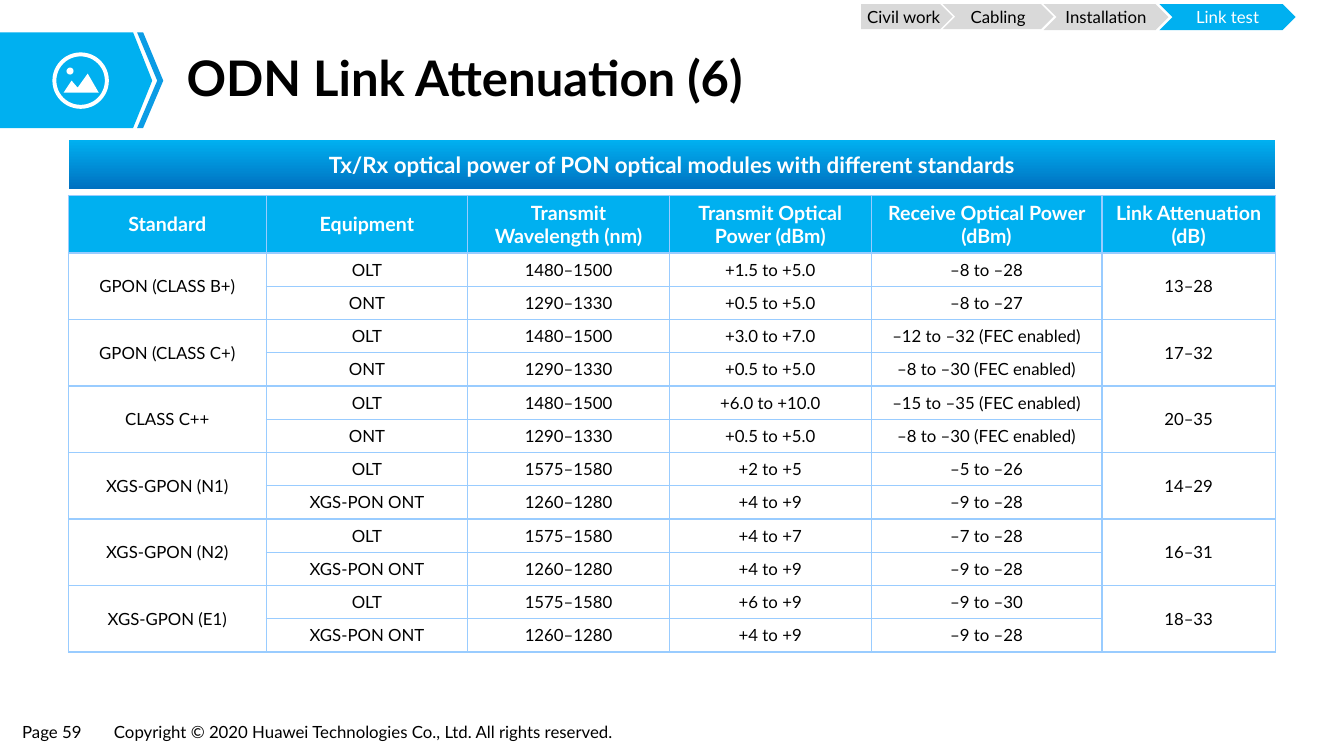
from lxml import etree
from pptx import Presentation
from pptx.dml.color import RGBColor
from pptx.enum.shapes import MSO_SHAPE
from pptx.enum.text import MSO_ANCHOR, PP_ALIGN
from pptx.oxml.ns import qn

PX = 9144
CHEVRON, PENTAGON = MSO_SHAPE.CHEVRON, MSO_SHAPE.PENTAGON
RECTANGLE, OVAL, DONUT = MSO_SHAPE.RECTANGLE, MSO_SHAPE.OVAL, MSO_SHAPE.DONUT
MIDDLE = MSO_ANCHOR.MIDDLE
LEFT, CENTER = PP_ALIGN.LEFT, PP_ALIGN.CENTER

BLACK = RGBColor(0x00, 0x00, 0x00)
WHITE = RGBColor(0xFF, 0xFF, 0xFF)
SKY = RGBColor(0x00, 0xB0, 0xF0)
STRIPE_BLUE = RGBColor(0x0B, 0x9C, 0xE5)
DEEP_BLUE = RGBColor(0x00, 0x70, 0xC0)
GREY = RGBColor(0xD9, 0xD9, 0xD9)
BORDER = RGBColor(0x99, 0xCC, 0xFF)

SMALL = {"name": "Lato", "size": 12 * 12700, "bold": False}
HEADING = {"name": "Lato", "size": 14 * 12700, "bold": True}
BANNER = {"name": "Lato", "size": 16 * 12700, "bold": True}
TITLE = {"name": "Lato", "size": 35 * 12700, "bold": True}

STAGES = [
    ("Cabling", CHEVRON, (935, 4, 110, 25), GREY, BLACK),
    ("Installation", CHEVRON, (1035, 4, 124, 26), GREY, BLACK),
    ("Link test", CHEVRON, (1150, 4, 135, 26), SKY, WHITE),
    ("Civil work", PENTAGON, (854, 4, 91, 25), GREY, BLACK),
]
HEADERS = ["Standard", "Equipment", "Transmit Wavelength (nm)",
           "Transmit Optical Power (dBm)", "Receive Optical Power (dBm)",
           "Link Attenuation (dB)"]
COLUMN_WIDTHS = [196, 200, 200, 200, 229, 172]
HEADER_HEIGHT, ROW_HEIGHT = 57, 33
STANDARDS = [
    ("GPON (CLASS B+)", "13–28",
     [("OLT", "1480–1500", "+1.5 to +5.0", "–8 to –28"),
      ("ONT", "1290–1330", "+0.5 to +5.0", "–8 to –27")]),
    ("GPON (CLASS C+)", "17–32",
     [("OLT", "1480–1500", "+3.0 to +7.0", "–12 to –32 (FEC enabled)"),
      ("ONT", "1290–1330", "+0.5 to +5.0", "–8 to –30 (FEC enabled)")]),
    ("CLASS C++", "20–35",
     [("OLT", "1480–1500", "+6.0 to +10.0", "–15 to –35 (FEC enabled)"),
      ("ONT", "1290–1330", "+0.5 to +5.0", "–8 to –30 (FEC enabled)")]),
    ("XGS-GPON (N1)", "14–29",
     [("OLT", "1575–1580", "+2 to +5", "–5 to –26"),
      ("XGS-PON ONT", "1260–1280", "+4 to +9", "–9 to –28")]),
    ("XGS-GPON (N2)", "16–31",
     [("OLT", "1575–1580", "+4 to +7", "–7 to –28"),
      ("XGS-PON ONT", "1260–1280", "+4 to +9", "–9 to –28")]),
    ("XGS-GPON (E1)", "18–33",
     [("OLT", "1575–1580", "+6 to +9", "–9 to –30"),
      ("XGS-PON ONT", "1260–1280", "+4 to +9", "–9 to –28")]),
]


def emu(lengths):
    """Turn px lengths into EMU."""
    return [length * PX for length in lengths]


def write(frame, text, font_format, color, align=CENTER):
    """Write one formatted paragraph into a text frame."""
    paragraph = frame.paragraphs[0]
    paragraph.alignment = align
    run = paragraph.add_run()
    run.text = text
    for attribute, value in font_format.items():
        setattr(run.font, attribute, value)
    run.font.color.rgb = color
    return paragraph


def set_margins(frame, horizontal, vertical):
    """Set the insets of a text frame or cell."""
    margins = {"margin_left": horizontal, "margin_right": horizontal,
               "margin_top": vertical, "margin_bottom": vertical}
    for attribute, value in margins.items():
        setattr(frame, attribute, value * PX)


def add_label(slide, box, text, font_format, margins, wrap=False):
    """Add a left-aligned text box."""
    frame = slide.shapes.add_textbox(*emu(box)).text_frame
    frame.word_wrap = wrap
    frame.vertical_anchor = MIDDLE
    set_margins(frame, *margins)
    return write(frame, text, font_format, BLACK, LEFT)


def paint(shape, color):
    """Give a shape a flat fill without outline or shadow."""
    shape.shadow.inherit = False
    shape.fill.solid()
    shape.fill.fore_color.rgb = color
    shape.line.fill.background()
    return shape


def add_block(slide, preset, box, color):
    """Add a flat preset shape."""
    return paint(slide.shapes.add_shape(preset, *emu(box)), color)


def add_outline(slide, points, color):
    """Add a flat closed polygon."""
    builder = slide.shapes.build_freeform(*points[0], scale=PX)
    builder.add_line_segments(points[1:], close=True)
    return paint(builder.convert_to_shape(), color)


def add_title_badge(slide):
    """Draw the arrow badge with its landscape icon."""
    add_outline(slide, [(0, 32), (132, 32), (151, 80), (132, 127), (0, 127)], SKY)
    add_outline(slide, [(142, 32), (136, 32), (156, 80), (136, 127),
                        (142, 127), (162, 80)], STRIPE_BLUE)
    ring = add_block(slide, DONUT, (52, 52, 56, 56), WHITE)
    ring.adjustments[0] = 0.07
    add_outline(slide, [(63, 92), (71, 80), (77, 87), (87, 73), (98, 92)], WHITE)
    add_block(slide, OVAL, (66, 67, 7, 7), WHITE)


def add_stage(slide, text, preset, box, fill, color):
    """Add one step of the progress trail."""
    frame = add_block(slide, preset, box, fill).text_frame
    frame.vertical_anchor = MIDDLE
    set_margins(frame, 0, 0)
    write(frame, text, SMALL, color)


def add_banner(slide, text):
    """Add the gradient heading above the table."""
    banner = add_block(slide, RECTANGLE, (68, 139, 1197, 49), SKY)
    banner.fill.gradient()
    banner.fill.gradient_angle = 270
    for stop, color in zip(banner.fill.gradient_stops, (SKY, DEEP_BLUE)):
        stop.color.rgb = color
    banner.text_frame.vertical_anchor = MIDDLE
    write(banner.text_frame, text, BANNER, WHITE)


def add_borders(cell):
    """Draw a thin border on all four sides of a cell."""
    properties = cell._tc.get_or_add_tcPr()
    for side in ("a:lnL", "a:lnR", "a:lnT", "a:lnB"):
        line = etree.SubElement(properties, qn(side), w="12700")
        fill = etree.SubElement(line, qn("a:solidFill"))
        etree.SubElement(fill, qn("a:srgbClr"), val=str(BORDER))


def add_power_table(slide):
    """Add the table of optical power by standard."""
    rows = [HEADERS]
    for standard, attenuation, modules in STANDARDS:
        rows += [(standard, *module, attenuation) for module in modules]
    heights = [HEADER_HEIGHT] + [ROW_HEIGHT] * (len(rows) - 1)
    box = (68, 194, sum(COLUMN_WIDTHS), sum(heights))
    table = slide.shapes.add_table(len(rows), len(HEADERS), *emu(box)).table
    table.horz_banding = False
    for column, width in zip(table.columns, emu(COLUMN_WIDTHS)):
        column.width = width
    for row, height in zip(table.rows, emu(heights)):
        row.height = height
    for top in range(1, len(rows), 2):
        for column in (0, len(HEADERS) - 1):
            table.cell(top, column).merge(table.cell(top + 1, column))
    for r, values in enumerate(rows):
        for c, value in enumerate(values):
            cell = table.cell(r, c)
            add_borders(cell)
            set_margins(cell, 10, 5)
            cell.vertical_anchor = MIDDLE
            if r == 0:
                cell.fill.solid()
                cell.fill.fore_color.rgb = SKY
                write(cell.text_frame, value, HEADING, WHITE)
            else:
                cell.fill.background()
                if not cell.is_spanned:
                    write(cell.text_frame, value, SMALL, BLACK)


def main():
    """Build and save the slide."""
    deck = Presentation()
    deck.slide_width, deck.slide_height = emu((1333, 750))
    slide = deck.slides.add_slide(deck.slide_layouts[6])
    add_label(slide, (13, 711, 81, 29), "Page 59", SMALL, (9, 4))
    add_label(slide, (104, 711, 541, 29),
              "Copyright © 2020 Huawei Technologies Co., Ltd. All rights reserved.",
              SMALL, (9, 4))
    add_title_badge(slide)
    title = add_label(slide, (174, 45, 1075, 70), "ODN Link Attenuation (6)",
                      TITLE, (11, 6), wrap=True)
    title.line_spacing = 0.9
    add_power_table(slide)
    add_banner(slide, "Tx/Rx optical power of PON optical modules with different standards")
    for stage in STAGES:
        add_stage(slide, *stage)
    deck.save("out.pptx")


if __name__ == "__main__":
    main()
